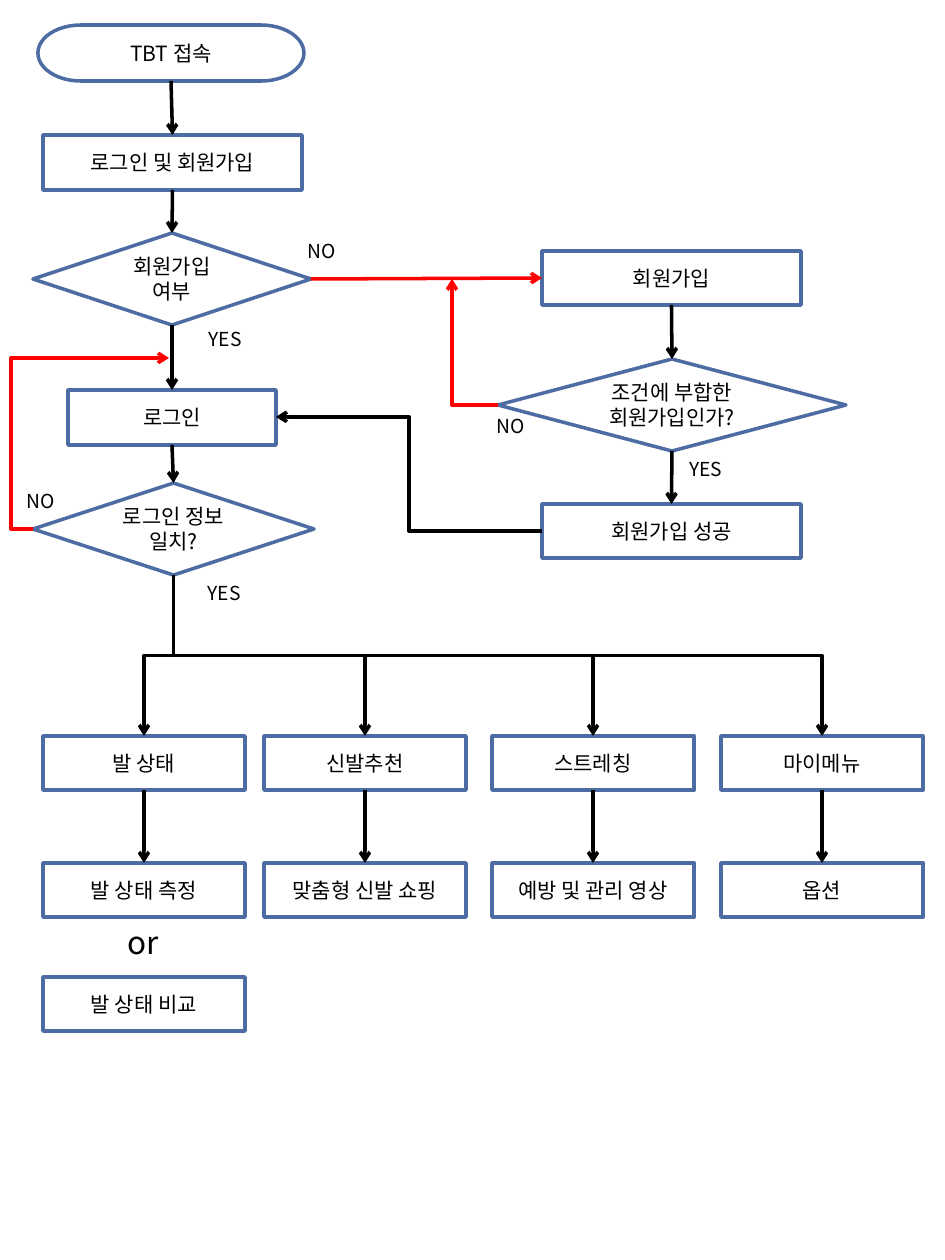
from dataclasses import dataclass

from lxml import etree
from pptx import Presentation
from pptx import util as u
from pptx.dml.color import RGBColor
from pptx.enum import shapes, text
from pptx.oxml.ns import qn

PX = 914400 / 126


@dataclass(frozen=True)
class Theme:
    font: str = "Noto Sans CJK KR"
    ink: str = "000000"
    border: str = "4C6CA3"
    retry: str = "FF0000"
    body: int = 12
    label: int = 11
    big: int = 18
    line: int = 2


T = Theme()
PROCESS = shapes.MSO_SHAPE.FLOWCHART_PROCESS
DECISION = shapes.MSO_SHAPE.FLOWCHART_DECISION
TERMINATOR = shapes.MSO_SHAPE.FLOWCHART_TERMINATOR
TOP, LEFT, BOTTOM, RIGHT = range(4)

STEPS = {
    "start": (TERMINATOR, 38, 25, 266, 56, ["TBT 접속"]),
    "entry": (PROCESS, 43, 135, 259, 55, ["로그인 및 회원가입"]),
    "member": (DECISION, 33, 233, 278, 92, ["회원가입", "여부"]),
    "login": (PROCESS, 68, 390, 208, 55, ["로그인"]),
    "match": (DECISION, 33, 483, 281, 92, ["로그인 정보", "일치?"]),
    "signup": (PROCESS, 542, 251, 259, 54, ["회원가입"]),
    "valid": (DECISION, 498, 359, 348, 92, ["조건에 부합한 회원가입인가?"]),
    "joined": (PROCESS, 542, 504, 259, 54, ["회원가입 성공"]),
}
MENUS = [
    (43, ["발 상태", "발 상태 측정"]),
    (264, ["신발추천", "맞춤형 신발 쇼핑"]),
    (492, ["스트레칭", "예방 및 관리 영상"]),
    (721, ["마이메뉴", "옵션"]),
]
MENU_ROWS = (736, 863)
MENU_W, MENU_H = 202, 54
COMPARE = (PROCESS, 43, 977, MENU_W, MENU_H, ["발 상태 비교"])

FLOWS = [
    ("start", BOTTOM, "entry", TOP, T.ink),
    ("entry", BOTTOM, "member", TOP, T.ink),
    ("member", BOTTOM, "login", TOP, T.ink),
    ("login", BOTTOM, "match", TOP, T.ink),
    ("member", RIGHT, "signup", LEFT, T.retry),
    ("signup", BOTTOM, "valid", TOP, T.ink),
    ("valid", BOTTOM, "joined", TOP, T.ink),
]
ELBOWS = [
    ("bentConnector3", (33, 529), (169, 358), T.retry, -0.16),
    ("bentConnector3", (542, 531), (276, 417), T.ink, 0.5),
    ("bentConnector2", (498, 405), (452, 279), T.retry, None),
]
LABELS = [
    ("NO", 14, 483, 58, 36, T.label),
    ("YES", 195, 575, 58, 36, T.label),
    ("YES", 196, 321, 58, 36, T.label),
    ("NO", 295, 233, 58, 36, T.label),
    ("NO", 484, 408, 58, 36, T.label),
    ("YES", 677, 451, 58, 36, T.label),
    ("or", 115, 917, 73, 50, T.big),
]


def emu(*values):
    return [u.Emu(round(v * PX)) for v in values]


def write(tf, lines, size, align):
    tf.word_wrap = True
    for i, line in enumerate(lines):
        p = tf.paragraphs[0] if i == 0 else tf.add_paragraph()
        p.text = line
        p.alignment = align
        p.font.size = u.Pt(size)
        p.font.name = T.font
        p.font.color.rgb = RGBColor.from_string(T.ink)
        props = p._p.pPr.find(qn("a:defRPr"))
        etree.SubElement(props, qn("a:ea")).set("typeface", T.font)


def add_step(s, kind, x, y, w, h, lines):
    sp = s.shapes.add_shape(kind, *emu(x, y, w, h))
    sp.shadow.inherit = False
    sp.fill.background()
    sp.line.color.rgb = RGBColor.from_string(T.border)
    sp.line.width = u.Pt(T.line)
    sp.text_frame.vertical_anchor = text.MSO_ANCHOR.MIDDLE
    write(sp.text_frame, lines, T.body, text.PP_ALIGN.CENTER)
    return sp


def add_label(s, words, x, y, w, h, size):
    tf = s.shapes.add_textbox(*emu(x, y, w, h)).text_frame
    tf.margin_right = 0
    tf.auto_size = text.MSO_AUTO_SIZE.SHAPE_TO_FIT_TEXT
    write(tf, [words], size, text.PP_ALIGN.LEFT)


def add_arrow(s, kind, begin, end, color):
    c = s.shapes.add_connector(kind, *emu(*begin, *end))
    c.line.color.rgb = RGBColor.from_string(color)
    c.line.width = u.Pt(T.line)
    etree.SubElement(c.line._get_or_add_ln(), qn("a:tailEnd")).set("type", "arrow")
    etree.SubElement(c._element.spPr, qn("a:effectLst"))
    return c


def join(s, a, a_side, b, b_side, color):
    c = add_arrow(s, shapes.MSO_CONNECTOR.STRAIGHT, (0, 0), (0, 0), color)
    c.begin_connect(a, a_side)
    c.end_connect(b, b_side)


def add_elbow(s, preset, begin, end, color, bend):
    c = add_arrow(s, shapes.MSO_CONNECTOR.ELBOW, begin, end, color)
    geom = c._element.spPr.find(qn("a:prstGeom"))
    geom.set("prst", preset)
    if bend is not None:
        guide = etree.SubElement(geom.find(qn("a:avLst")), qn("a:gd"))
        guide.set("name", "adj1")
        guide.set("fmla", f"val {round(bend * 100000)}")
    return c


def add_branch(s, begin, end):
    (x1, y1), (x2, y2) = begin, end
    cx, cy = (x1 + x2) / 2, (y1 + y2) / 2
    reach, drop = abs(x2 - x1) / 2, (y2 - y1) / 2
    turn, side = (270, 1) if x2 > x1 else (90, -1)
    c = add_elbow(s, "bentConnector3", (cx + side * drop, cy - reach),
                  (cx - side * drop, cy + reach), T.ink, 0.5)
    c._element.spPr.find(qn("a:xfrm")).set("rot", str(turn * 60000))


def main():
    prs = Presentation()
    prs.slide_width, prs.slide_height = u.Inches(7.5), u.Inches(10)
    s = prs.slides.add_slide(prs.slide_layouts[6])

    steps = {name: add_step(s, *step) for name, step in STEPS.items()}
    for a, a_side, b, b_side, color in FLOWS:
        join(s, steps[a], a_side, steps[b], b_side, color)
    for elbow in ELBOWS:
        add_elbow(s, *elbow)

    _, x, y, w, h, _ = STEPS["match"]
    for left, names in MENUS:
        menu, page = [add_step(s, PROCESS, left, top, MENU_W, MENU_H, [name])
                      for top, name in zip(MENU_ROWS, names)]
        join(s, menu, BOTTOM, page, TOP, T.ink)
        add_branch(s, (x + w / 2, y + h), (left + MENU_W / 2, MENU_ROWS[0]))
    add_step(s, *COMPARE)

    for label in LABELS:
        add_label(s, *label)
    prs.save("out.pptx")


if __name__ == "__main__":
    main()
